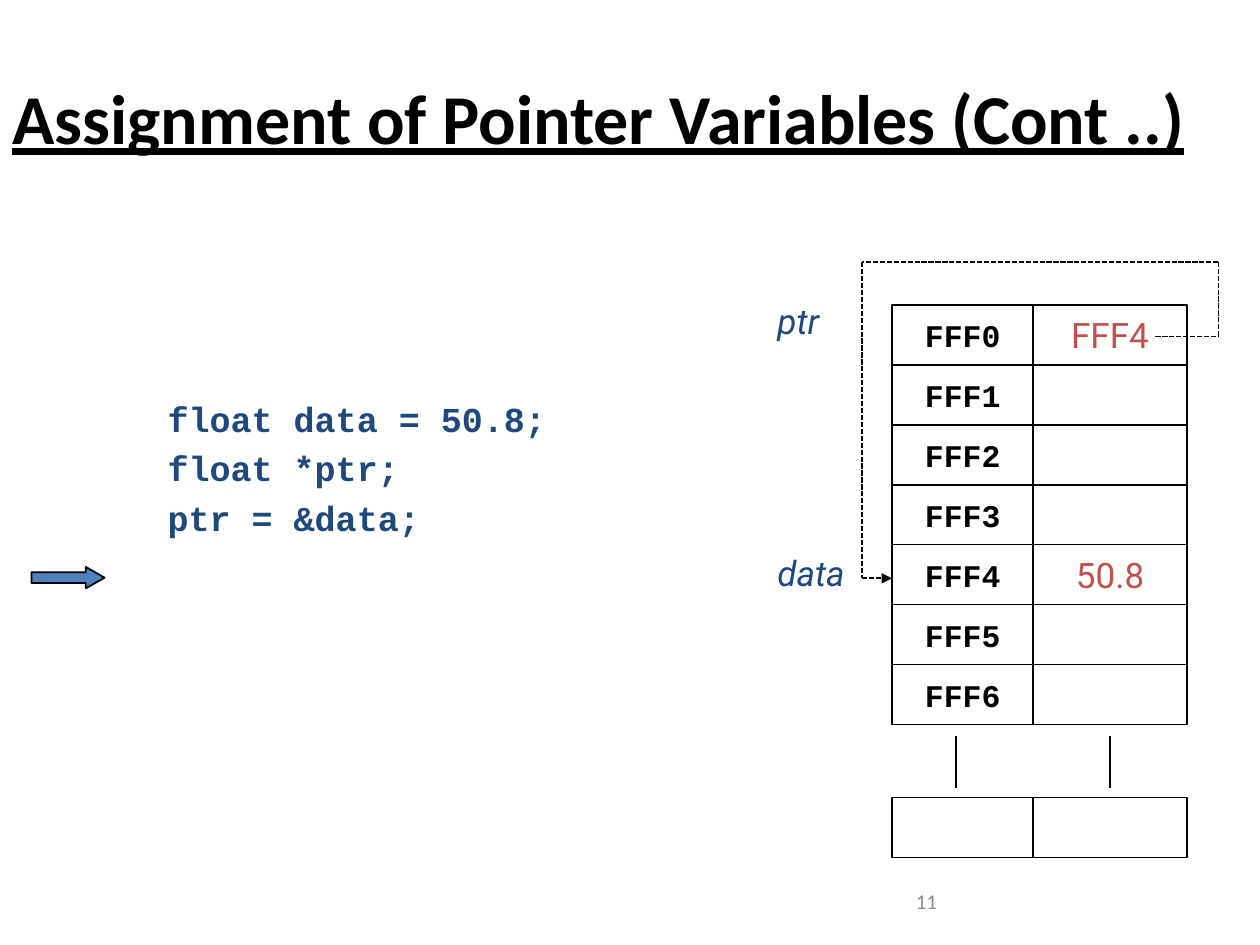
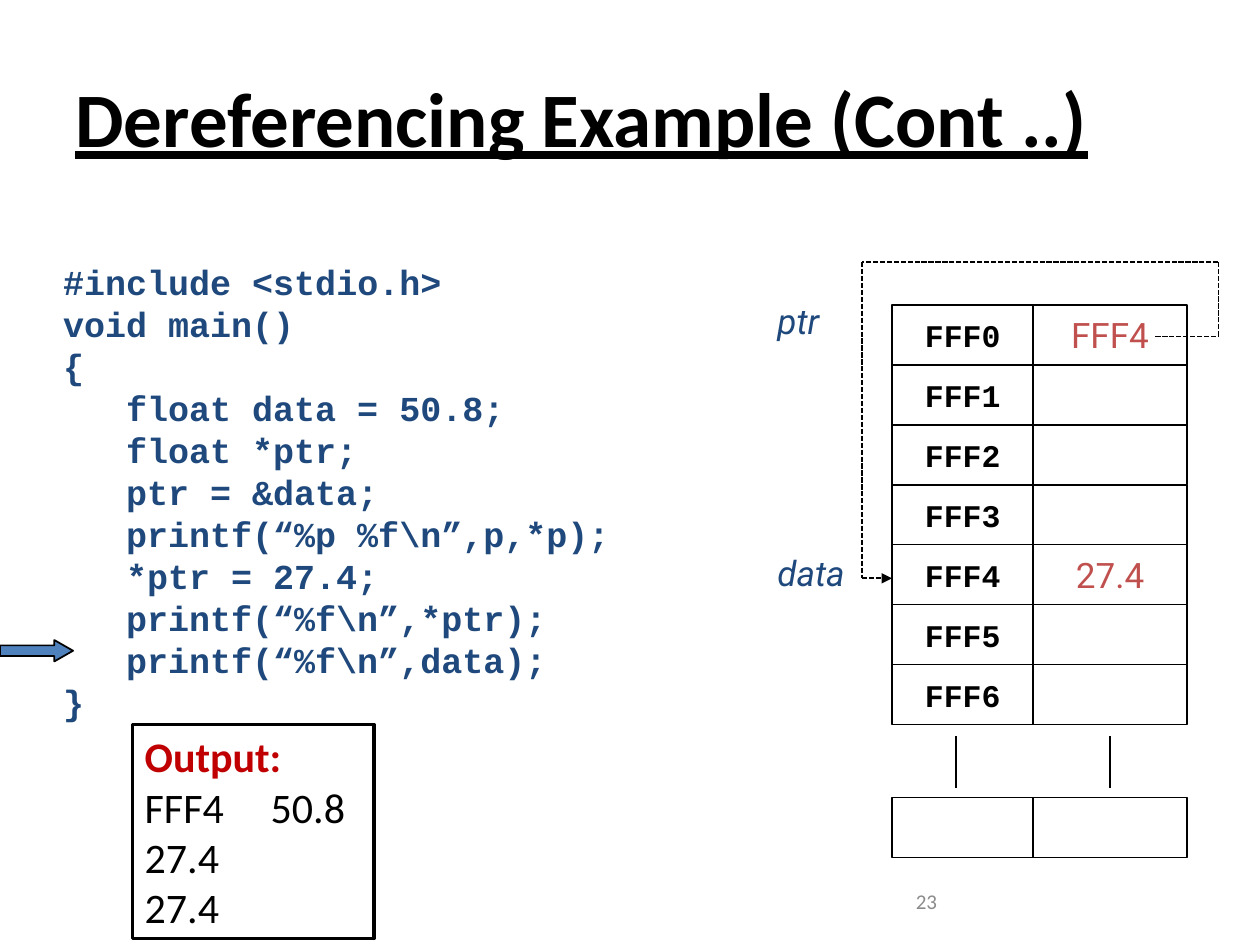
"""Two slides that show pointer assignment and dereferencing beside a memory map."""
from lxml.etree import SubElement
from pptx import Presentation
from pptx.dml.color import RGBColor
from pptx.enum.dml import MSO_LINE_DASH_STYLE as DASH
from pptx.enum.shapes import MSO_CONNECTOR, MSO_SHAPE
from pptx.enum.text import MSO_ANCHOR, PP_ALIGN
from pptx.oxml.ns import qn
from pptx.util import Inches, Pt

BLACK = RGBColor(0x00, 0x00, 0x00)
WHITE = RGBColor(0xFF, 0xFF, 0xFF)
GREY = RGBColor(0x8B, 0x8B, 0x8B)
NAVY = RGBColor(0x1F, 0x49, 0x7D)
BLUE = RGBColor(0x4F, 0x81, 0xBD)
RED = RGBColor(0xC0, 0x50, 0x4D)
DARK_RED = RGBColor(0xC0, 0x00, 0x00)
BODY, CODE, VALUE = "Calibri", "Courier New", "Roboto"

ROWS = 7
MAP_TOP = 2.42
ROW_HEIGHT = 3.33 / ROWS
LAST_ROW_TOP = 6.33
COLUMNS = [(7.08, 1.12), (8.2, 1.22)]
ROW_TICKS = [7.59, 8.81]
POINTER_PATH = [(9.17, 2.67), (9.67, 2.67), (9.67, 2.08), (6.84, 2.08),
                (6.84, 4.59), (7.08, 4.59)]

SLIDES = [
    {
        "title": "Assignment of Pointer Variables (Cont ..)",
        "title_left": 0, "title_width": 10, "title_size": 40,
        "number": "11", "data": "50.8", "arrow": (0.25, 4.5),
        "code_box": (0.83, 3.04, 4.25, 1.4), "code_spacing": 28.5,
        "code": [(1, "float data = 50.8;"), (1, "float *ptr;"), (1, "ptr = &data;")],
        "output": [],
    },
    {
        "title": "Dereferencing Example (Cont ..)",
        "title_left": 0.5, "title_width": 9, "title_size": 44,
        "number": "23", "data": "27.4", "arrow": (0, 5.08),
        "code_box": (0.5, 2.02, 5.58, 5.08), "code_spacing": 24,
        "code": [
            (0, "#include <stdio.h>"),
            (0, "void main()"),
            (0, "{"),
            (1, "float data = 50.8;"),
            (1, "float *ptr;"),
            (1, "ptr = &data;"),
            (1, r"printf(“%p %f\n”,p,*p);"),
            (1, "*ptr = 27.4;"),
            (1, r"printf(“%f\n”,*ptr);"),
            (1, r"printf(“%f\n”,data);"),
            (0, "}"),
        ],
        "output": ["Output:", "FFF4\t50.8", "27.4", "27.4"],
    },
]


def write(box, lines, font, size, colour, bold=False, italic=False,
          underline=False, align=PP_ALIGN.LEFT, anchor=MSO_ANCHOR.MIDDLE,
          wrap=True, side=0.1):
    """Fill a box with one paragraph a line, all in one style."""
    frame = box.text_frame
    frame.word_wrap = wrap
    frame.vertical_anchor = anchor
    frame.margin_left = frame.margin_right = Inches(side)
    for index, line in enumerate(lines):
        para = frame.paragraphs[0] if index == 0 else frame.add_paragraph()
        para.text = line
        para.alignment = align
        para.font.name, para.font.size = font, Pt(size)
        for span in para.runs:
            span.font.name, span.font.size = font, Pt(size)
            span.font.bold, span.font.italic = bold, italic
            span.font.underline = underline
            span.font.color.rgb = colour
    return frame.paragraphs


def add_line(page, start, end):
    """Draw a thin black line without a shadow."""
    line = page.shapes.add_connector(
        MSO_CONNECTOR.STRAIGHT, *[Inches(value) for value in (*start, *end)])
    line.line.color.rgb = BLACK
    line.line.width = Pt(1)
    SubElement(line._element.spPr, qn("a:effectLst"))
    return line


deck = Presentation()
deck.slide_width, deck.slide_height = Inches(10), Inches(7.5)

for content in SLIDES:
    page = deck.slides.add_slide(deck.slide_layouts[6])
    shapes = page.shapes

    title = shapes.add_textbox(Inches(content["title_left"]), Inches(0.3),
                               Inches(content["title_width"]), Inches(1.25))
    write(title, [content["title"]], BODY, content["title_size"], BLACK,
          bold=True, underline=True)

    number = shapes.add_textbox(Inches(7.17), Inches(6.95), Inches(2.33), Inches(0.4))
    write(number, [content["number"]], BODY, 12, GREY)

    listing = shapes.add_textbox(*[Inches(value) for value in content["code_box"]])
    paras = write(listing, [line for _, line in content["code"]], CODE, 20, NAVY,
                  bold=True, anchor=MSO_ANCHOR.TOP, side=0)
    for para, (level, _) in zip(paras, content["code"]):
        para.line_spacing = Pt(content["code_spacing"])
        para._p.get_or_add_pPr().set("marL", str(Inches(0.5 * level)))

    values = {0: "FFF4", 4: content["data"]}
    for row in range(ROWS + 1):
        top = MAP_TOP + row * ROW_HEIGHT if row < ROWS else LAST_ROW_TOP
        address = f"FFF{row}" if row < ROWS else ""
        cells = [(address, CODE, 18, BLACK, True),
                 (values.get(row, ""), VALUE, 20, RED, False)]
        for (left, width), (text, font, size, colour, bold) in zip(COLUMNS, cells):
            cell = shapes.add_shape(MSO_SHAPE.RECTANGLE, Inches(left), Inches(top),
                                    Inches(width), Inches(ROW_HEIGHT))
            cell.shadow.inherit = False
            cell.fill.background()
            cell.line.color.rgb = BLACK
            cell.line.width = Pt(1)
            if text:
                write(cell, [text], font, size, colour, bold=bold,
                      align=PP_ALIGN.CENTER, wrap=False)

    for name, top in (("ptr", 2.33), ("data", 4.33)):
        label = shapes.add_textbox(Inches(6.17), Inches(top), Inches(0.75), Inches(0.43))
        write(label, [name], VALUE, 20, NAVY, italic=True,
              anchor=MSO_ANCHOR.TOP, side=0)

    for start, end in zip(POINTER_PATH, POINTER_PATH[1:]):
        segment = add_line(page, start, end)
        segment.line.dash_style = DASH.SQUARE_DOT
    SubElement(segment.line._get_or_add_ln(), qn("a:tailEnd"), type="triangle")

    for tick in ROW_TICKS:
        add_line(page, (tick, 5.84), (tick, 6.25))

    left, top = content["arrow"]
    arrow = shapes.add_shape(MSO_SHAPE.RIGHT_ARROW, Inches(left), Inches(top),
                             Inches(0.58), Inches(0.17))
    arrow.adjustments[1] = 0.875
    arrow.shadow.inherit = False
    arrow.fill.solid()
    arrow.fill.fore_color.rgb = BLUE
    arrow.line.color.rgb = BLACK
    arrow.line.width = Pt(1)

    if content["output"]:
        output = shapes.add_shape(MSO_SHAPE.RECTANGLE, Inches(1.05), Inches(5.75),
                                  Inches(1.92), Inches(1.7))
        output.shadow.inherit = False
        output.fill.solid()
        output.fill.fore_color.rgb = WHITE
        output.line.color.rgb = BLACK
        output.line.width = Pt(2)
        heading = write(output, content["output"], BODY, 24, BLACK,
                        anchor=MSO_ANCHOR.TOP, wrap=False)[0].runs[0]
        heading.font.bold = True
        heading.font.color.rgb = DARK_RED

deck.save("out.pptx")
